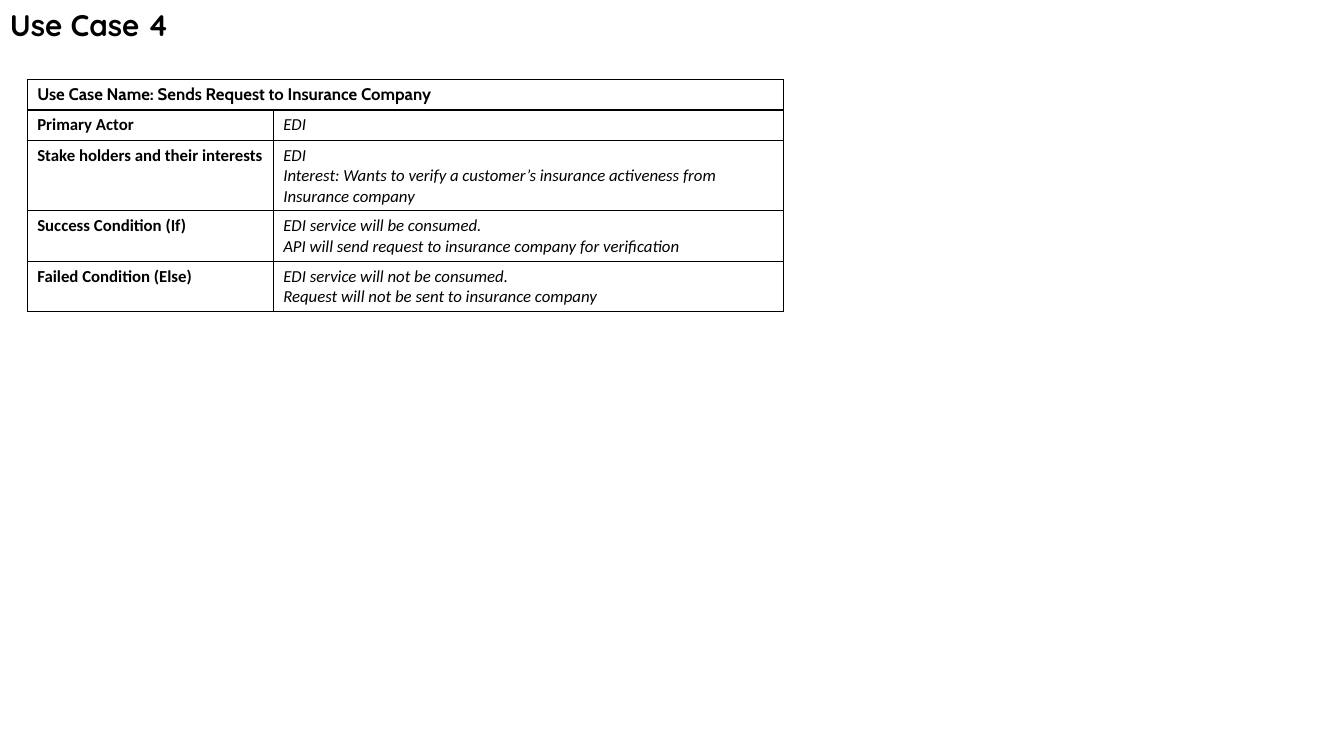
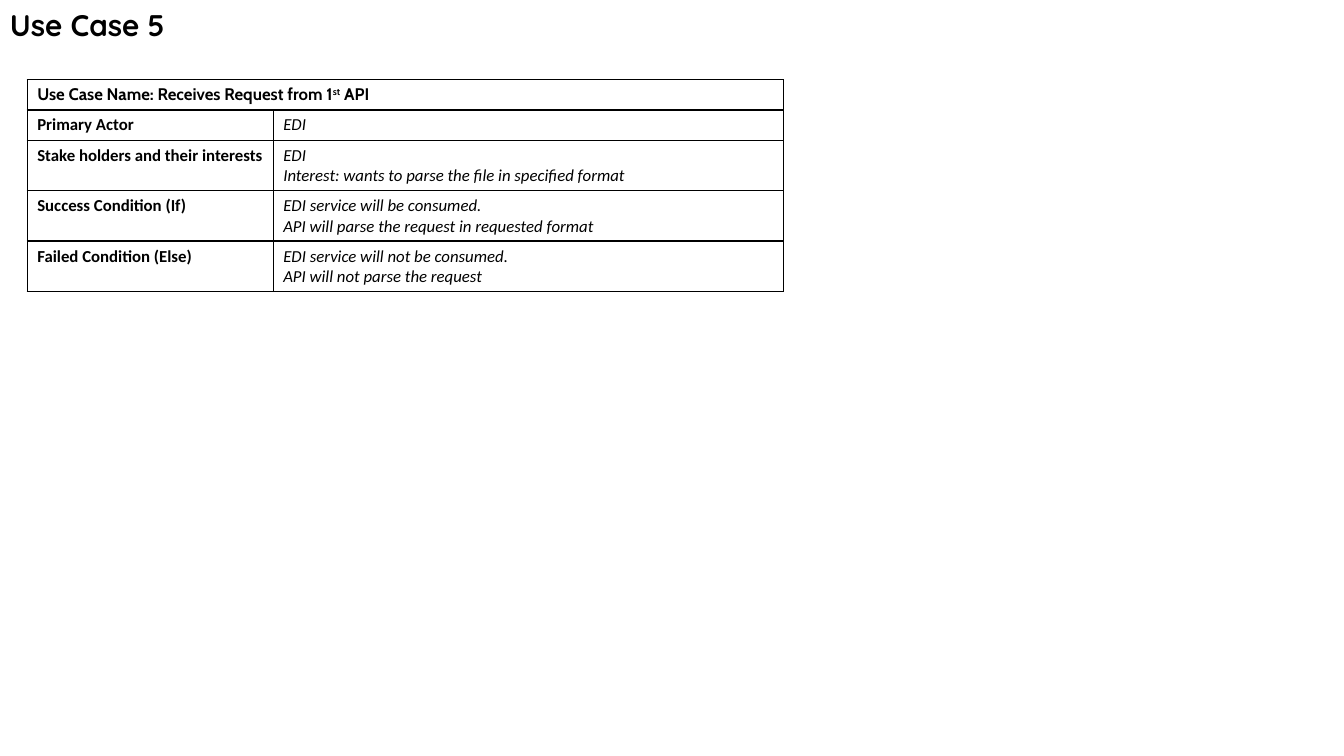
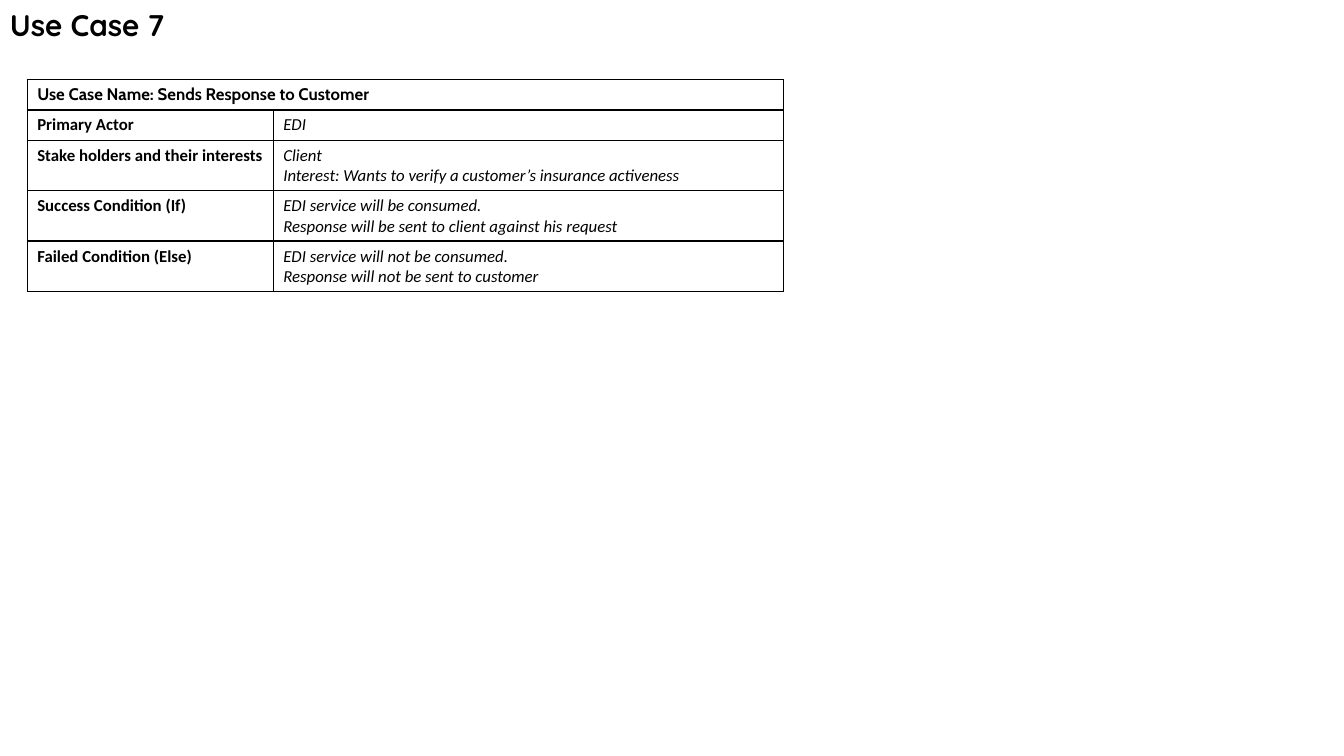
"""Build three use case slides, each with a title and a bordered table."""
from lxml.etree import SubElement as Sub
from pptx import Presentation as Deck
from pptx.dml.color import RGBColor as Rgb
from pptx.enum.text import MSO_ANCHOR as Anchor
from pptx.oxml.ns import qn
from pptx.util import Inches, Pt

COLORS = {"ink": "000000", "paper": "FFFFFF"}
WIDE, HIGH = 13.33, 7.5
COLS = (2.44, 5.06)
ROW = 0.3
LABELS = ("Primary Actor", "Stake holders and their interests",
          "Success Condition (If)", "Failed Condition (Else)")
GOOD = "EDI service will be consumed."
BAD = "EDI service will not be consumed."
CASES = (
    ("Use Case 4", ("Sends Request to Insurance Company",), (
        "EDI",
        "EDI\nInterest: Wants to verify a customer’s insurance activeness from Insurance company",
        GOOD + "\nAPI will send request to insurance company for verification",
        BAD + "\nRequest will not be sent to insurance company")),
    ("Use Case 5", ("Receives Request from 1", "st", " API"), (
        "EDI",
        "EDI\nInterest: wants to parse the file in specified format",
        GOOD + "\nAPI will parse the request in requested format",
        BAD + "\nAPI will not parse the request")),
    ("Use Case 7", ("Sends Response to Customer",), (
        "EDI",
        "Client\nInterest: Wants to verify a customer’s insurance activeness",
        GOOD + "\nResponse will be sent to client against his request",
        BAD + "\nResponse will not be sent to customer")),
)


def style(frame, face, size, bold=True, slant=False):
    for para in frame.paragraphs:
        for run in para.runs:
            font = run.font
            font.name, font.size = face, Pt(size)
            font.bold, font.italic = bold, slant
            font.color.rgb = Rgb.from_string(COLORS["ink"])


def add_title(slide, text):
    box = slide.shapes.add_textbox(Inches(0), Inches(0.01), Inches(WIDE), Inches(0.51))
    frame = box.text_frame
    frame.word_wrap = True
    frame.vertical_anchor = Anchor.MIDDLE
    frame.text = text
    frame.paragraphs[0].line_spacing = 0.9
    style(frame, "Quicksand", 21.3)


def edge(cell):
    props = cell._tc.get_or_add_tcPr()
    for side in ("lnL", "lnR", "lnT", "lnB"):
        line = Sub(props, qn("a:" + side), w=str(Pt(1)))
        Sub(Sub(line, qn("a:solidFill")), qn("a:srgbClr"), val=COLORS["ink"])
    cell.fill.solid()
    cell.fill.fore_color.rgb = Rgb.from_string(COLORS["paper"])


def fill_head(cell, parts):
    first, *rest = parts
    para = cell.text_frame.paragraphs[0]
    para.text = "Use Case Name: " + first
    for spot, part in enumerate(rest):
        run = para.add_run()
        run.text = part
        if spot % 2 == 0:
            run._r.get_or_add_rPr().set("baseline", "30000")
    style(cell.text_frame, "Cabin", 12)


def fill_cell(cell, text, bold):
    cell.text_frame.text = text
    style(cell.text_frame, "Calibri", 12, bold, not bold)


def add_grid(slide, name, facts):
    count = len(LABELS) + 1
    grid = slide.shapes.add_table(count, len(COLS), Inches(0.27), Inches(0.79),
                                  Inches(sum(COLS)), Inches(ROW * count)).table
    grid.first_row = grid.horz_banding = False
    for col, width in zip(grid.columns, COLS):
        col.width = Inches(width)
    for cell in grid.iter_cells():
        edge(cell)
    grid.cell(0, 0).merge(grid.cell(0, 1))
    fill_head(grid.cell(0, 0), name)
    for row, (label, fact) in enumerate(zip(LABELS, facts), 1):
        fill_cell(grid.cell(row, 0), label, True)
        fill_cell(grid.cell(row, 1), fact, False)


def main():
    deck = Deck()
    deck.slide_width, deck.slide_height = Inches(WIDE), Inches(HIGH)
    for title, name, facts in CASES:
        slide = deck.slides.add_slide(deck.slide_layouts[6])
        add_title(slide, title)
        add_grid(slide, name, facts)
    deck.save("out.pptx")


if __name__ == "__main__":
    main()
